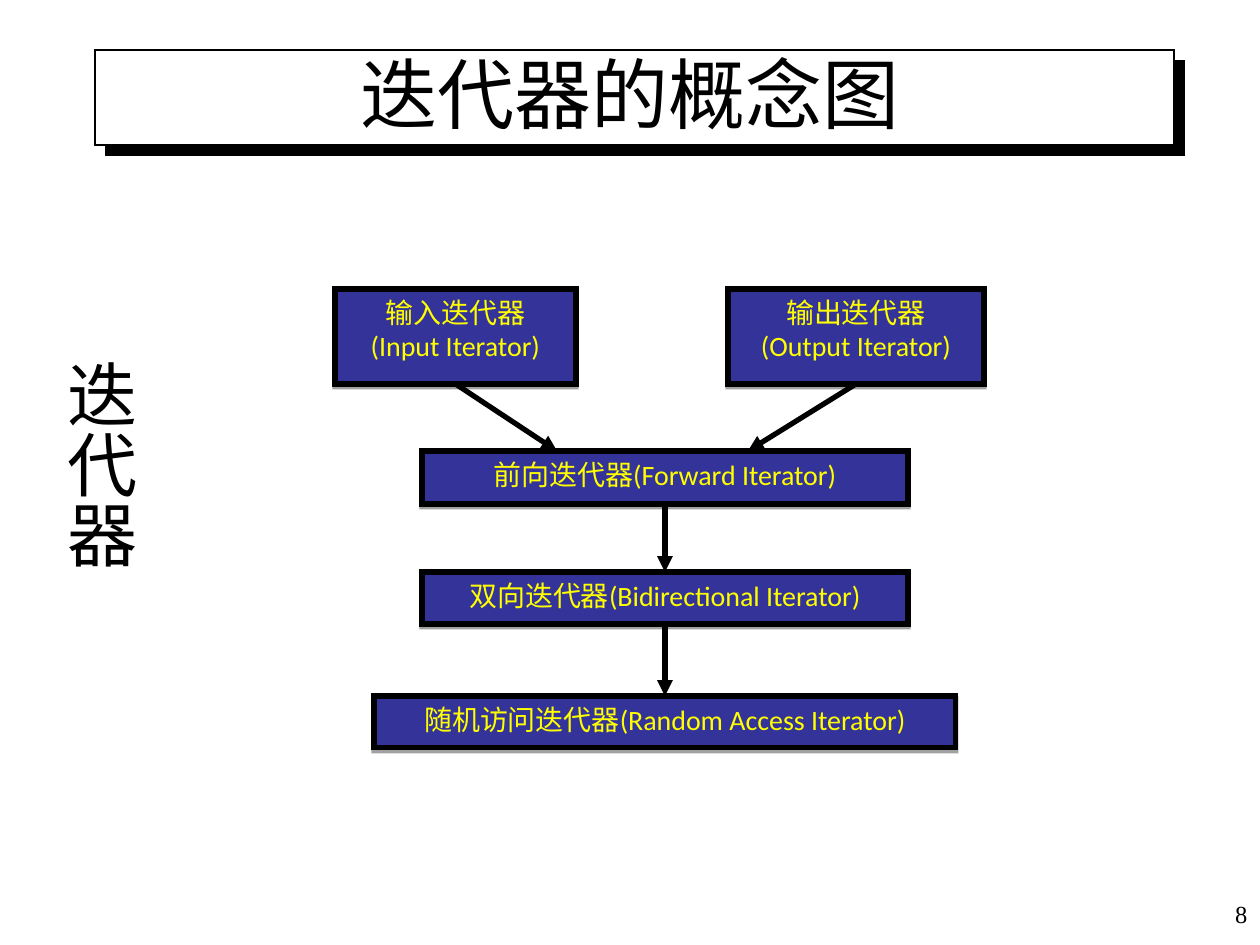
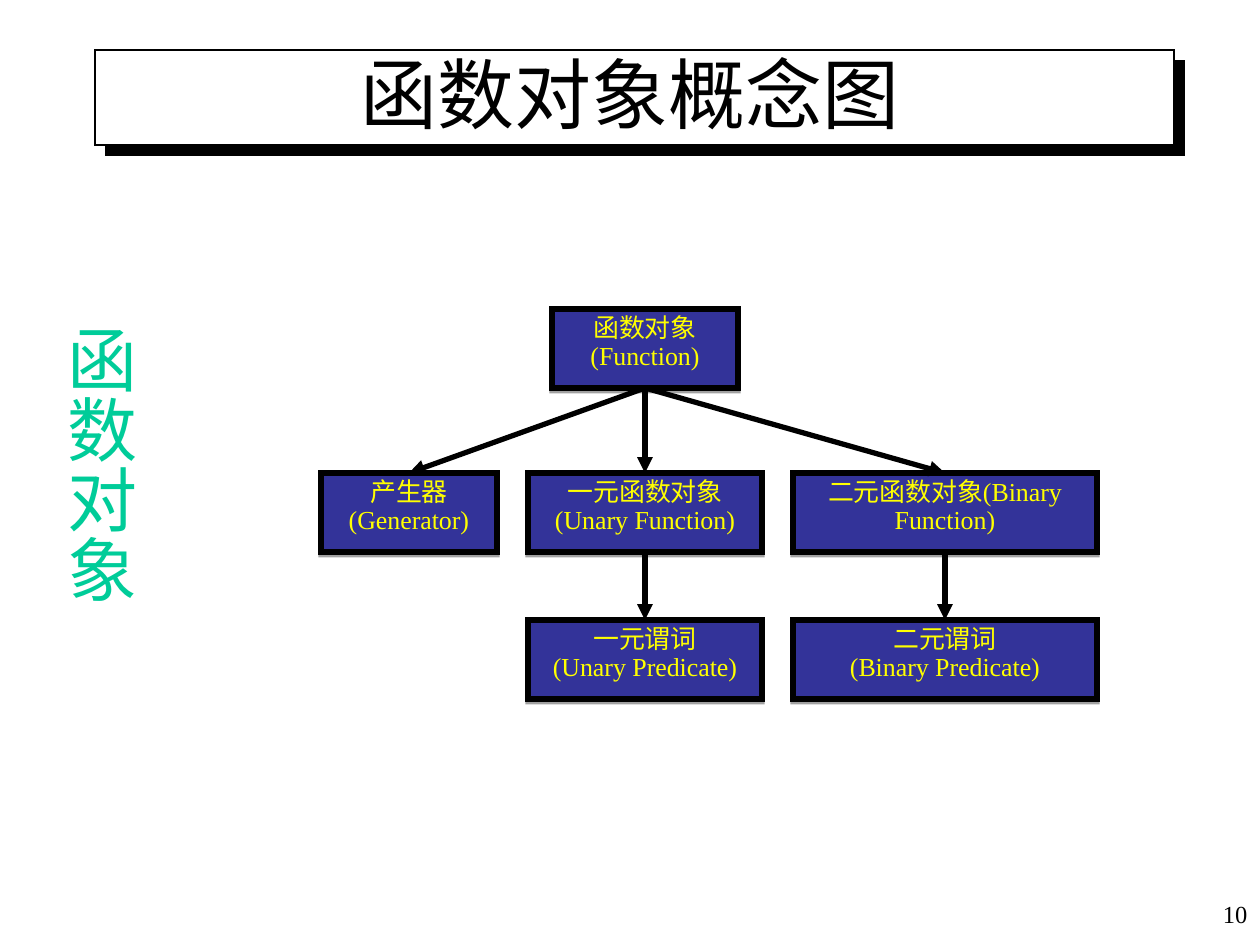
"""Build two concept diagrams: iterators and function objects."""
import pptx
import pptx.dml.color
import pptx.enum.shapes
import pptx.enum.text
import pptx.oxml
import pptx.oxml.ns
import pptx.util

RGBColor = pptx.dml.color.RGBColor
PP_ALIGN = pptx.enum.text.PP_ALIGN
MSO_ANCHOR = pptx.enum.text.MSO_ANCHOR
RECTANGLE = pptx.enum.shapes.MSO_SHAPE.RECTANGLE
STRAIGHT = pptx.enum.shapes.MSO_CONNECTOR.STRAIGHT
Pt = pptx.util.Pt

BLACK = RGBColor(0x00, 0x00, 0x00)
WHITE = RGBColor(0xFF, 0xFF, 0xFF)
NAVY = RGBColor(0x33, 0x33, 0x99)
YELLOW = RGBColor(0xFF, 0xFF, 0x00)
GREEN = RGBColor(0x00, 0xCC, 0x99)

PX_PER_INCH = 126
TOP, BOTTOM = 0, 2
SIDE_MIDDLE, SIDE_CHAR, SIDE_PADDING = 468, 70, 32


def px(*lengths):
    """Turn lengths in px into EMU."""
    return [round(n * 914400 / PX_PER_INCH) for n in lengths]


def add_xml(parent, tag, content="", **attrs):
    """Append a DrawingML element to parent."""
    attributes = "".join(f' {k}="{v}"' for k, v in attrs.items())
    ns = pptx.oxml.ns.nsdecls("a")
    parent.append(pptx.oxml.parse_xml(f"<a:{tag} {ns}{attributes}>{content}</a:{tag}>"))


def style_text(tf, text, font, size, color, align=PP_ALIGN.CENTER,
               anchor=MSO_ANCHOR.TOP, spacing=None):
    """Fill a text frame and format all of its runs."""
    tf.text = text
    tf.word_wrap = True
    tf.auto_size = pptx.enum.text.MSO_AUTO_SIZE.NONE
    tf.vertical_anchor = anchor
    for p in tf.paragraphs:
        p.alignment = align
        p.line_spacing = spacing
        for r in p.runs:
            r.font.name = font
            r.font.size = Pt(size)
            r.font.color.rgb = color


def add_rect(s, box, fill, line_width, distance, degrees, opacity):
    """Add a black-edged, square-cornered rectangle with a hard shadow."""
    sp = s.shapes.add_shape(RECTANGLE, *px(*box))
    sp.fill.solid()
    sp.fill.fore_color.rgb = fill
    sp.line.color.rgb = BLACK
    sp.line.width = Pt(line_width)
    add_xml(sp.element.spPr.find(pptx.oxml.ns.qn("a:ln")), "miter", lim=800000)
    sp.shadow.inherit = False
    effects = sp.element.spPr.find(pptx.oxml.ns.qn("a:effectLst"))
    color = f'<a:srgbClr val="000000"><a:alpha val="{opacity * 1000}"/></a:srgbClr>'
    add_xml(effects, "outerShdw", color, blurRad=0, dist=Pt(distance),
            dir=degrees * 60000, algn="ctr", rotWithShape=0)
    return sp


def add_concept(s, box, text, font="Times New Roman", size=14.8, spacing=0.9):
    """Add one labelled concept box."""
    sp = add_rect(s, box, NAVY, 3, 1.6, 90, 37)
    style_text(sp.text_frame, text, font, size, YELLOW, spacing=spacing)
    return sp


def add_arrow(s, source, target=None, tip=(0, 0)):
    """Draw an arrow from a box's bottom to a box's top or to a free tip."""
    cx = s.shapes.add_connector(STRAIGHT, 0, 0, *px(*tip))
    cx.begin_connect(source, BOTTOM)
    if target is not None:
        cx.end_connect(target, TOP)
    cx.line.color.rgb = BLACK
    cx.line.width = Pt(3)
    add_xml(cx.element.spPr.find(pptx.oxml.ns.qn("a:ln")), "tailEnd", type="triangle")
    add_xml(cx.element.spPr, "effectLst")


def add_side_label(s, text, color):
    """Add a vertical label centred beside the diagram."""
    height = len(text) * SIDE_CHAR + SIDE_PADDING
    side = s.shapes.add_textbox(*px(38, SIDE_MIDDLE - height // 2, 110, height))
    tf = side.text_frame
    style_text(tf, text, "Noto Sans CJK SC", 40, color)
    tf.margin_left, tf.margin_top, tf.margin_right, tf.margin_bottom = px(6, 13, 6, 13)
    side.element.txBody.bodyPr.set("vert", "eaVert")


def add_frame(prs, title, number, side_label, side_color):
    """Add a slide with the title band, page number and vertical side label."""
    s = prs.slides.add_slide(prs.slide_layouts[5])
    sp = s.shapes.title
    sp.left, sp.top, sp.width, sp.height = px(63, 38, 1134, 107)
    style_text(sp.text_frame, title, "Arial", 44, BLACK, anchor=MSO_ANCHOR.BOTTOM)
    band = add_rect(s, (95, 50, 1079, 95), WHITE, 0.75, 8.5, 45, 100)
    sp.element.addprevious(band.element)

    page = s.shapes.add_textbox(*px(998, 882, 262, 63))
    style_text(page.text_frame, number, "Times New Roman", 14, BLACK,
               PP_ALIGN.RIGHT, MSO_ANCHOR.MIDDLE)
    add_side_label(s, side_label, side_color)
    return s


def build_iterators(prs):
    """Build the iterator concept slide."""
    s = add_frame(prs, "迭代器的概念图", "8", "迭代器", BLACK)
    concepts = [
        ((335, 289, 241, 95), "输入迭代器\v(Input Iterator)"),
        ((728, 289, 256, 95), "输出迭代器\v(Output Iterator)"),
        ((422, 451, 486, 53), "前向迭代器(Forward Iterator)"),
        ((422, 572, 486, 52), "双向迭代器(Bidirectional Iterator)"),
        ((374, 696, 582, 52), "随机访问迭代器(Random Access Iterator)"),
    ]
    reader, writer, forward, bidirectional, random_access = [
        add_concept(s, box, text, "Calibri", 16, None) for box, text in concepts]
    add_arrow(s, reader, tip=(557, 451))
    add_arrow(s, writer, tip=(748, 451))
    add_arrow(s, forward, bidirectional)
    add_arrow(s, bidirectional, random_access)


def build_functions(prs):
    """Build the function object concept slide."""
    s = add_frame(prs, "函数对象概念图", "10", "函数对象", GREEN)
    unary_column, binary_column = (528, 234), (793, 304)

    def concept(column, top, text):
        """Add a concept in a column given as left and width."""
        left, width = column
        return add_concept(s, (left, top, width, 79), text)

    function = concept((552, 186), 309, "函数对象\n(Function)")
    generator = concept((321, 176), 473, "产生器\n(Generator)")
    unary = concept(unary_column, 473, "一元函数对象(Unary Function)")
    binary = concept(binary_column, 473, "二元函数对象(Binary Function)")
    unary_predicate = concept(unary_column, 620, "一元谓词\n(Unary Predicate)")
    binary_predicate = concept(binary_column, 620, "二元谓词\n(Binary Predicate)")
    for child in (generator, unary, binary):
        add_arrow(s, function, child)
    add_arrow(s, unary, unary_predicate)
    add_arrow(s, binary, binary_predicate)


def main():
    """Build and save the presentation."""
    prs = pptx.Presentation()
    prs.slide_width, prs.slide_height = px(1260, 945)
    build_iterators(prs)
    build_functions(prs)
    prs.save("out.pptx")


if __name__ == "__main__":
    main()
